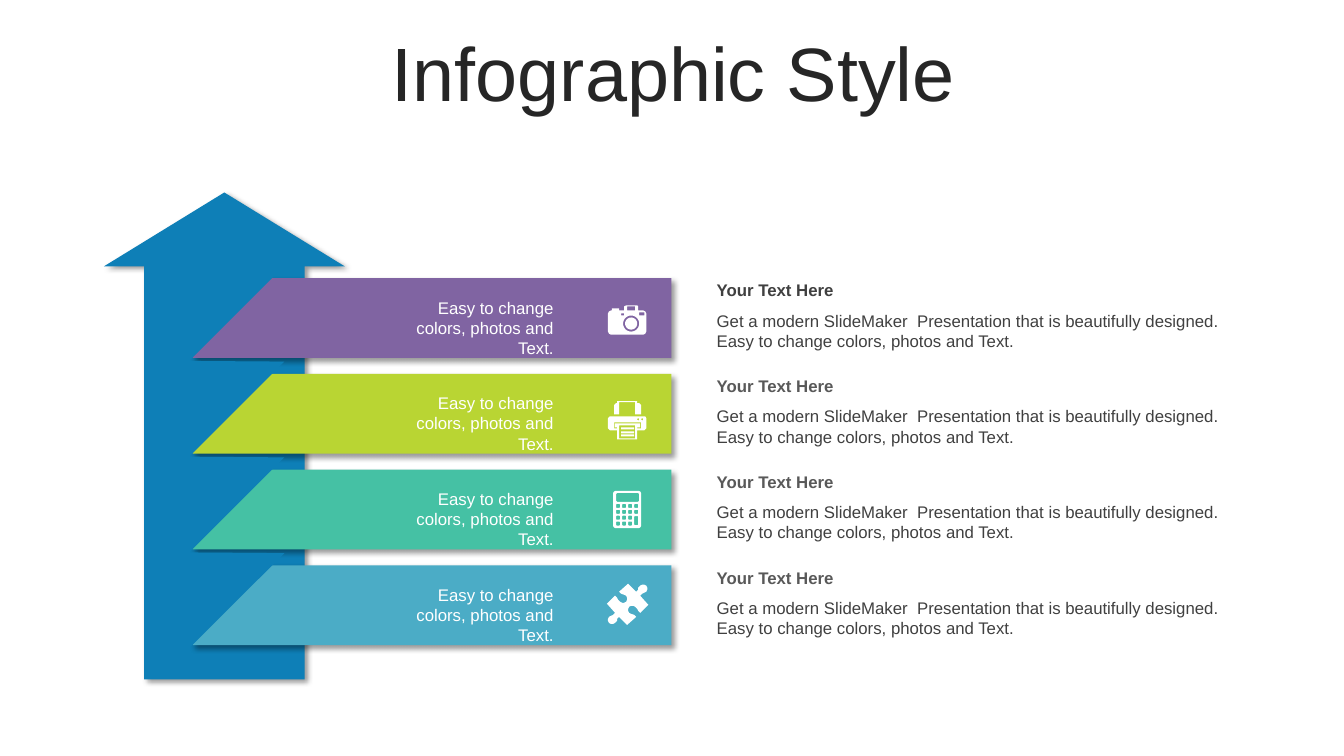
"""Build the infographic slide: an upward arrow with four banners, icons and captions."""
from math import cos, pi, sin

from lxml import etree
from pptx import Presentation
from pptx.dml.color import RGBColor
from pptx.enum.shapes import MSO_SHAPE
from pptx.enum.text import MSO_ANCHOR, PP_ALIGN
from pptx.oxml import parse_xml
from pptx.util import Inches, Pt

UP_ARROW = MSO_SHAPE.UP_ARROW
RECTANGLE = MSO_SHAPE.RECTANGLE
TRIANGLE = MSO_SHAPE.ISOSCELES_TRIANGLE
LEFT, CENTER, RIGHT = PP_ALIGN.LEFT, PP_ALIGN.CENTER, PP_ALIGN.RIGHT
TOP, MIDDLE = MSO_ANCHOR.TOP, MSO_ANCHOR.MIDDLE

BLUE = RGBColor(0x0E, 0x7F, 0xB7)
PURPLE = RGBColor(0x80, 0x64, 0xA2)
LIME = RGBColor(0xB9, 0xD5, 0x33)
GREEN = RGBColor(0x45, 0xC1, 0xA4)
SKY = RGBColor(0x4B, 0xAC, 0xC6)
WHITE = RGBColor(0xFF, 0xFF, 0xFF)
INK = RGBColor(0x26, 0x26, 0x26)
DARK = RGBColor(0x40, 0x40, 0x40)
GRAY = RGBColor(0x59, 0x59, 0x59)

ROW_STEP = 0.95
DETAIL = ("Get a modern SlideMaker  Presentation that is beautifully designed. "
          "Easy to change colors, photos and Text.")
SHADOW = (
    '<a:outerShdw xmlns:a="http://schemas.openxmlformats.org/drawingml/2006/main" '
    'blurRad="50800" dist="38100" dir="2700000" algn="tl" rotWithShape="0">'
    '<a:srgbClr val="000000"><a:alpha val="40000"/></a:srgbClr></a:outerShdw>')

prs = Presentation()
prs.slide_width, prs.slide_height = Inches(13.33), Inches(7.5)
slide = prs.slides.add_slide(prs.slide_layouts[6])
shapes = slide.shapes


def add_text(text, left, top, width, height, size=12, color=DARK, bold=False,
             align=LEFT, anchor=TOP, spacing=1.0):
    frame = shapes.add_textbox(
        Inches(left), Inches(top), Inches(width), Inches(height)).text_frame
    frame.word_wrap = True
    frame.vertical_anchor = anchor
    paragraph = frame.paragraphs[0]
    paragraph.text = text
    paragraph.alignment = align
    paragraph.line_spacing = spacing
    paragraph.font.name = "Arial"
    paragraph.font.size = Pt(size)
    paragraph.font.bold = bold
    paragraph.font.color.rgb = color


def rounded_box(left, top, right, bottom, radius=0.0):
    corners = [(right - radius, bottom - radius), (left + radius, bottom - radius),
               (left + radius, top + radius), (right - radius, top + radius)]
    return [(x + radius * cos((quarter + step / 6) * pi / 2),
             y + radius * sin((quarter + step / 6) * pi / 2))
            for quarter, (x, y) in enumerate(corners)
            for step in (range(7) if radius else [0])]


add_text("Infographic Style", 0.35, 0.37, 12.66, 0.79, size=54, color=INK,
         align=CENTER, anchor=MIDDLE, spacing=0.9)

arrow = shapes.add_shape(UP_ARROW, Inches(1.03), Inches(1.91), Inches(2.39), Inches(4.83))
arrow.adjustments[0], arrow.adjustments[1] = 0.666, 0.307
arrow.fill.solid()
arrow.fill.fore_color.rgb = BLUE
banners = []
for row, color in enumerate([PURPLE, LIME, GREEN, SKY]):
    shift = row * ROW_STEP
    banner = shapes.add_shape(
        RECTANGLE, Inches(1.91), Inches(2.76 + shift), Inches(4.75), Inches(0.79))
    banner.fill.solid()
    banner.fill.fore_color.rgb = color
    banners.append(banner)

    fold = shapes.add_shape(
        TRIANGLE, Inches(1.39), Inches(2.54 + shift), Inches(1.39), Inches(0.69))
    fold.adjustments[0] = 0.511
    fold.rotation = 315
    fold.shadow.inherit = False
    fold.fill.solid()
    fold.fill.fore_color.rgb = BLUE
    fold.line.fill.background()

    add_text("Easy to change colors, photos and Text.", 3.75, 2.9 + shift, 1.84, 0.55,
             color=WHITE, align=RIGHT)
    add_text(DETAIL, 7.01, 3.03 + shift, 5.35, 0.5)
    add_text("Your Text Here", 7.01, 2.73 + shift, 5.35, 0.3,
             color=GRAY if row else DARK, bold=True)

for shaded in [arrow, *banners]:
    shaded.line.fill.background()
    shaded.shadow.inherit = False
    effects = shaded.element.spPr.find("{*}effectLst")
    effects.append(parse_xml(SHADOW))

camera = [
    [(6.03, 3.11), (6.04, 3.09), (6.06, 3.08), (6.07, 3.08), (6.07, 3.06), (6.14, 3.06),
     (6.14, 3.08), (6.19, 3.08), (6.19, 3.04), (6.21, 3.03), (6.32, 3.03), (6.33, 3.04),
     (6.33, 3.08), (6.38, 3.08), (6.4, 3.09), (6.41, 3.11), (6.41, 3.29), (6.4, 3.31),
     (6.38, 3.32), (6.06, 3.32), (6.04, 3.31), (6.03, 3.29)],
    rounded_box(6.18, 3.13, 6.34, 3.29, 0.08),
    rounded_box(6.2, 3.15, 6.32, 3.27, 0.06),
    rounded_box(6.16, 3.11, 6.19, 3.13),
    rounded_box(6.34, 3.1, 6.39, 3.13),
    rounded_box(6.22, 3.04, 6.3, 3.08),
]

printer = [
    [(6.12, 3.98), (6.32, 3.98), (6.32, 4), (6.34, 4), (6.36, 4.02), (6.36, 4.11),
     (6.3, 4.11), (6.3, 3.99), (6.14, 3.99), (6.14, 4.11), (6.09, 4.11), (6.09, 4.02),
     (6.11, 4), (6.12, 4)],
    [(6.05, 4.13), (6.4, 4.13), (6.41, 4.15), (6.41, 4.25), (6.39, 4.27), (6.32, 4.27),
     (6.32, 4.36), (6.12, 4.36), (6.12, 4.27), (6.05, 4.27), (6.03, 4.25), (6.03, 4.15)],
    [(6.09, 4.19), (6.36, 4.19), (6.36, 4.25), (6.32, 4.25), (6.32, 4.24), (6.35, 4.24),
     (6.35, 4.2), (6.1, 4.2), (6.1, 4.24), (6.12, 4.24), (6.12, 4.25), (6.09, 4.25)],
    rounded_box(6.14, 4.22, 6.3, 4.35),
    *[rounded_box(6.16, top, 6.29, top + 0.02) for top in (4.24, 4.28, 4.31)],
    *[rounded_box(left, 4.15, left + 0.02, 4.17, 0.01) for left in (6.32, 6.36)],
]

calculator = [
    rounded_box(6.08, 4.87, 6.36, 5.24, 0.03),
    rounded_box(6.11, 4.89, 6.34, 4.98, 0.02),
    rounded_box(6.29, 5.12, 6.33, 5.21, 0.01),
]
for column in range(4):
    for key_row in range(2 if column == 3 else 4):
        left, top = 6.11 + column * 0.06, 5 + key_row * 0.058
        calculator.append(rounded_box(left, top, left + 0.04, top + 0.04, 0.01))

half_puzzle = [
    (6.41, 5.81), (6.42, 5.83), (6.42, 5.85), (6.41, 5.87), (6.39, 5.88), (6.37, 5.89),
    (6.35, 5.91), (6.43, 6), (6.35, 6.08), (6.33, 6.06), (6.32, 6.04), (6.3, 6.02),
    (6.28, 6.01), (6.26, 6.01), (6.24, 6.02), (6.23, 6.04), (6.23, 6.06), (6.24, 6.08),
    (6.26, 6.09), (6.29, 6.1), (6.31, 6.12), (6.22, 6.2), (6.14, 6.12), (6.12, 6.14),
    (6.12, 6.16), (6.1, 6.18), (6.08, 6.19), (6.06, 6.19)]
puzzle = [half_puzzle + [(12.45 - x, 11.99 - y) for x, y in half_puzzle]]

for icon in [camera, printer, calculator, puzzle]:
    outlines = [[(Inches(x), Inches(y)) for x, y in outline] for outline in icon]
    builder = shapes.build_freeform(*outlines[0][0])
    builder.add_line_segments(outlines[0][1:], close=True)
    for outline in outlines[1:]:
        builder.move_to(*outline[0])
        builder.add_line_segments(outline[1:], close=True)
    glyph = builder.convert_to_shape()
    glyph.fill.solid()
    glyph.fill.fore_color.rgb = WHITE
    glyph.line.fill.background()
    glyph.shadow.inherit = False

prs.save("out.pptx")
